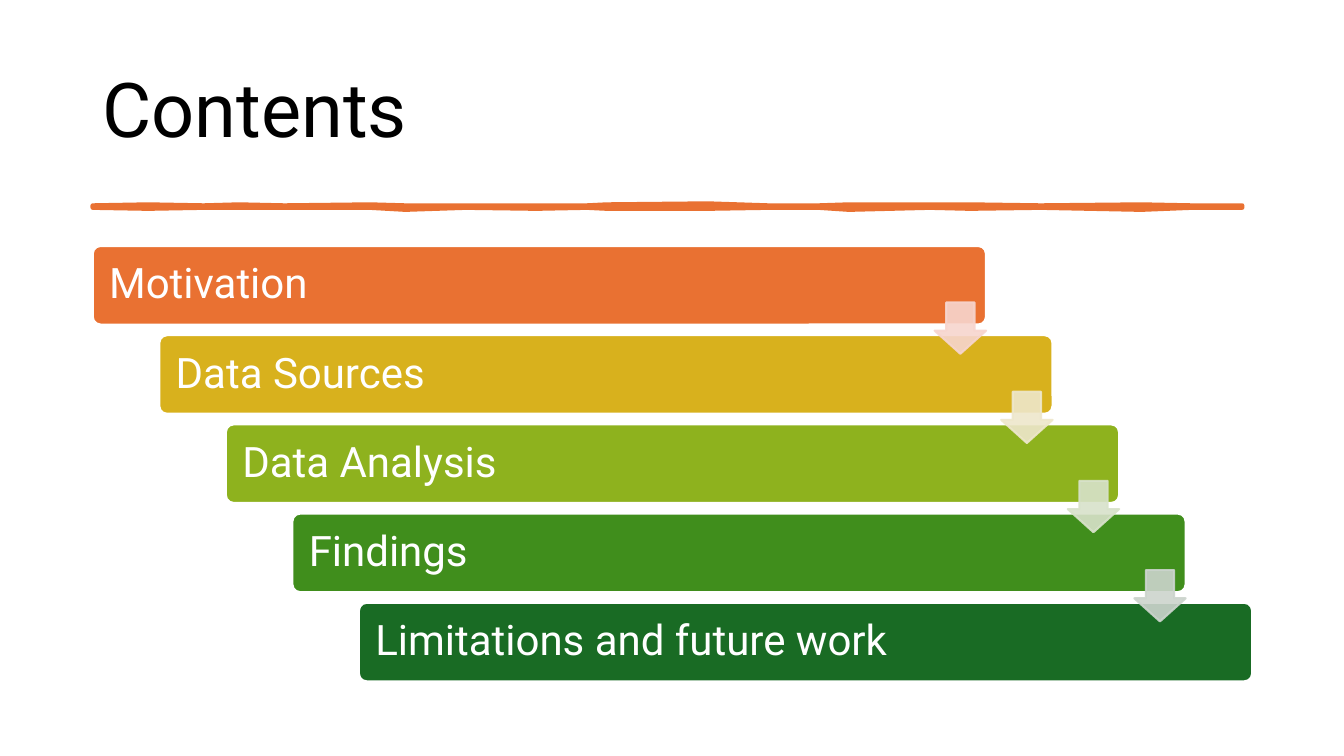
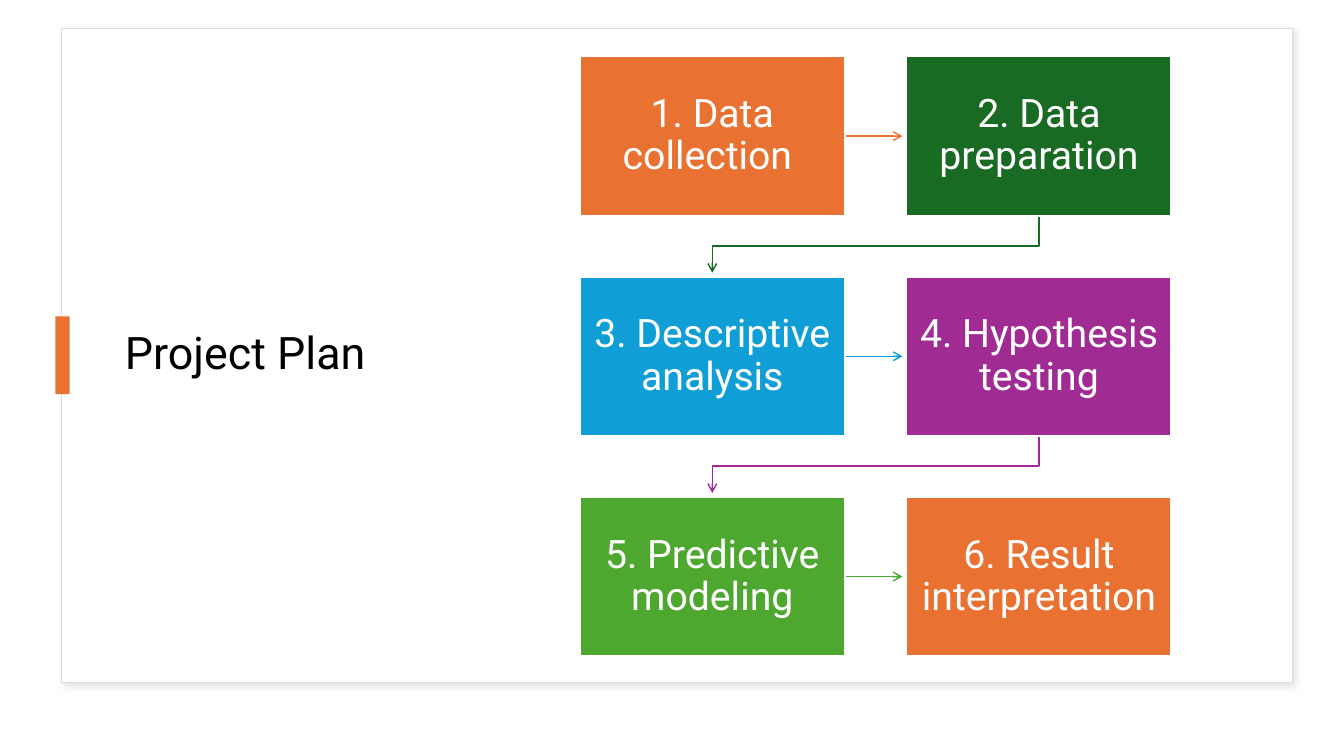
from pptx import Presentation
from pptx import util as u
from pptx.dml.color import RGBColor
from pptx.enum import shapes, text
from pptx.oxml.ns import qn
from lxml import etree

WIDTH, HEIGHT = 13.33, 7.5
FONT = "Roboto"
COLORS = {
    "white": "FFFFFF", "black": "000000", "orange": "E97132", "gold": "D8B11D",
    "lime": "8EB21E", "leaf": "408E1C", "forest": "196B24", "blue": "0F9ED5",
    "purple": "A02B93", "green": "4EA72E", "border": "DEDEDE", "shadow": "C5C5C5",
    "pale orange": "F7D5CE", "pale gold": "EEE7CB", "pale lime": "D8E2CA",
    "pale leaf": "CCD4CD",
}

# Text, bar colour, colour of the arrow to the next bar
CONTENTS = [
    ("Motivation", "orange", "pale orange"),
    ("Data Sources", "gold", "pale gold"),
    ("Data Analysis", "lime", "pale lime"),
    ("Findings", "leaf", "pale leaf"),
    ("Limitations and future work", "forest", None),
]
PLAN = [
    ("1. Data collection ", "orange"), ("2. Data preparation", "forest"),
    ("3. Descriptive analysis", "blue"), ("4. Hypothesis testing", "purple"),
    ("5. Predictive modeling", "green"), ("6. Result interpretation", "orange"),
]
# Brush stroke: distance along the rule, upper edge, lower edge
STROKE = [
    (0, 2.04, 2.06), (0.55, 2.03, 2.07), (1.1, 2.04, 2.06), (1.45, 2.03, 2.06),
    (1.9, 2.04, 2.06), (2.75, 2.03, 2.06), (3.1, 2.04, 2.08), (3.7, 2.04, 2.06),
    (4.4, 2.04, 2.07), (4.9, 2.04, 2.06), (5.1, 2.03, 2.07), (6.1, 2.02, 2.07),
    (6.7, 2.04, 2.06), (7.2, 2.04, 2.06), (7.5, 2.03, 2.08), (8.3, 2.03, 2.06),
    (8.7, 2.03, 2.07), (9.4, 2.04, 2.06), (10.4, 2.03, 2.08), (10.9, 2.04, 2.06),
    (11.4, 2.04, 2.06),
]


def rgb(color):
    return RGBColor.from_string(COLORS[color])


def finish(shape, fill=None, line=None, width=1.0):
    """Set fill and outline; None means none. Removes the theme shadow."""
    if fill:
        shape.fill.solid()
        shape.fill.fore_color.rgb = rgb(fill)
    else:
        shape.fill.background()
    if line:
        shape.line.color.rgb = rgb(line)
        shape.line.width = u.Pt(width)
    else:
        shape.line.fill.background()
    shape.shadow.inherit = False
    return shape


def add_box(slide, kind, box, **style):
    shape = slide.shapes.add_shape(kind, *map(u.Inches, box))
    return finish(shape, **style)


def add_outline(slide, points, close, **style):
    builder = slide.shapes.build_freeform(
        round(points[0][0] * 1000), round(points[0][1] * 1000), scale=u.Inches(1) / 1000)
    builder.add_line_segments(
        [(round(x * 1000), round(y * 1000)) for x, y in points[1:]], close=close)
    return finish(builder.convert_to_shape(), **style)


def add_line_detail(shape, tag, **attributes):
    line = shape._element.spPr.find(qn("a:ln"))
    etree.SubElement(line, qn(tag), attributes)


def set_alpha(color_element, percent):
    etree.SubElement(color_element, qn("a:alpha"), val=str(percent * 1000))


def write(shape, content, size, color="white", align="LEFT", margins=(0.1, 0.05)):
    frame = shape.text_frame
    frame.word_wrap = True
    frame.vertical_anchor = text.MSO_ANCHOR.MIDDLE
    frame.margin_left = frame.margin_right = u.Inches(margins[0])
    frame.margin_top = frame.margin_bottom = u.Inches(margins[1])
    paragraph = frame.paragraphs[0]
    paragraph.alignment = getattr(text.PP_ALIGN, align)
    paragraph.line_spacing = 0.9
    run = paragraph.add_run()
    run.text = content
    run.font.size = u.Pt(size)
    run.font.name = FONT
    run.font.color.rgb = rgb(color)


def add_title(slide, content, box, size):
    write(slide.shapes.add_textbox(*map(u.Inches, box)), content, size, color="black")


def build_contents(slide):
    left, top, bar_width, bar_height = 0.92, 2.44, 8.86, 0.78
    step_x, step_y, arrow_size = 0.66, 0.885, 0.51
    add_title(slide, "Contents", (left, 0.4, 11.5, 1.45), 54)

    upper = [(left + x, y) for x, y, _ in STROKE]
    lower = [(left + x, y) for x, _, y in reversed(STROKE)]
    rule = add_outline(slide, upper + lower, True, fill="orange", line="orange", width=3.25)
    add_line_detail(rule, "a:round")

    for index, (label, color, _) in enumerate(CONTENTS):
        box = (left + index * step_x, top + index * step_y, bar_width, bar_height)
        bar = add_box(slide, shapes.MSO_SHAPE.ROUNDED_RECTANGLE, box,
                      fill=color, line="white", width=1.5)
        bar.adjustments[0] = 0.1
        write(bar, label, 30, margins=(0.14, 0.12))

    for index, (_, _, color) in enumerate(CONTENTS[:-1]):
        box = (left + bar_width - arrow_size + index * step_x, 3 + index * step_y,
               arrow_size, arrow_size)
        arrow = add_box(slide, shapes.MSO_SHAPE.DOWN_ARROW, box,
                        fill=color, line=color, width=1.5)
        arrow.adjustments[0], arrow.adjustments[1] = 0.55, 0.45
        for element in list(arrow._element.spPr.iter(qn("a:srgbClr"))):
            set_alpha(element, 90)


def add_panel(slide):
    panel = add_box(slide, shapes.MSO_SHAPE.RECTANGLE, (0.61, 0.28, 12.21, 6.49),
                    fill="white", line="border")
    effects = panel._element.spPr.find(qn("a:effectLst"))
    shadow = etree.SubElement(
        effects, qn("a:outerShdw"), blurRad=str(u.Pt(4)), dist=str(u.Pt(3)),
        dir=str(45 * 60000), algn="tl", rotWithShape="0")
    set_alpha(etree.SubElement(shadow, qn("a:srgbClr"), val=COLORS["shadow"]), 50)


def add_step_arrow(slide, start, end, color):
    if start[1] == end[1]:
        arrow = slide.shapes.add_connector(
            shapes.MSO_CONNECTOR.STRAIGHT, *map(u.Inches, start + end))
        arrow.line.color.rgb = rgb(color)
        arrow.line.width = u.Pt(1)
        etree.SubElement(arrow._element.spPr, qn("a:effectLst"))
    else:
        bend = start[1] + 0.3
        points = [start, (start[0], bend), (end[0], bend), end]
        arrow = add_outline(slide, points, False, line=color)
    add_line_detail(arrow, "a:tailEnd", type="arrow")


def build_plan(slide):
    left, top, box_width, box_height = 5.75, 0.56, 2.63, 1.58
    step_x, step_y, columns, arrow_gap = 3.24, 2.185, 2, 0.04
    add_panel(slide)
    add_title(slide, "Project Plan", (1.14, 0.55, 3.27, 5.95), 32)
    add_box(slide, shapes.MSO_SHAPE.RECTANGLE, (0.55, 3.14, 0.14, 0.77), fill="orange")

    for index, (label, color) in enumerate(PLAN):
        row, column = divmod(index, columns)
        x, y = left + column * step_x, top + row * step_y
        if index < len(PLAN) - 1:
            if column < columns - 1:
                middle = y + box_height / 2
                start, end = (x + box_width, middle), (x + step_x - arrow_gap, middle)
            else:
                start = (x + box_width / 2, y + box_height)
                end = (left + box_width / 2, y + step_y - arrow_gap)
            add_step_arrow(slide, start, end, color)
        step = add_box(slide, shapes.MSO_SHAPE.RECTANGLE, (x, y, box_width, box_height),
                       fill=color, line="white", width=1.5)
        write(step, label, 28, align="CENTER", margins=(0.13, 0.14))


def main():
    presentation = Presentation()
    presentation.slide_width = u.Inches(WIDTH)
    presentation.slide_height = u.Inches(HEIGHT)
    for build in (build_contents, build_plan):
        build(presentation.slides.add_slide(presentation.slide_layouts[6]))
    presentation.save("out.pptx")


if __name__ == "__main__":
    main()
